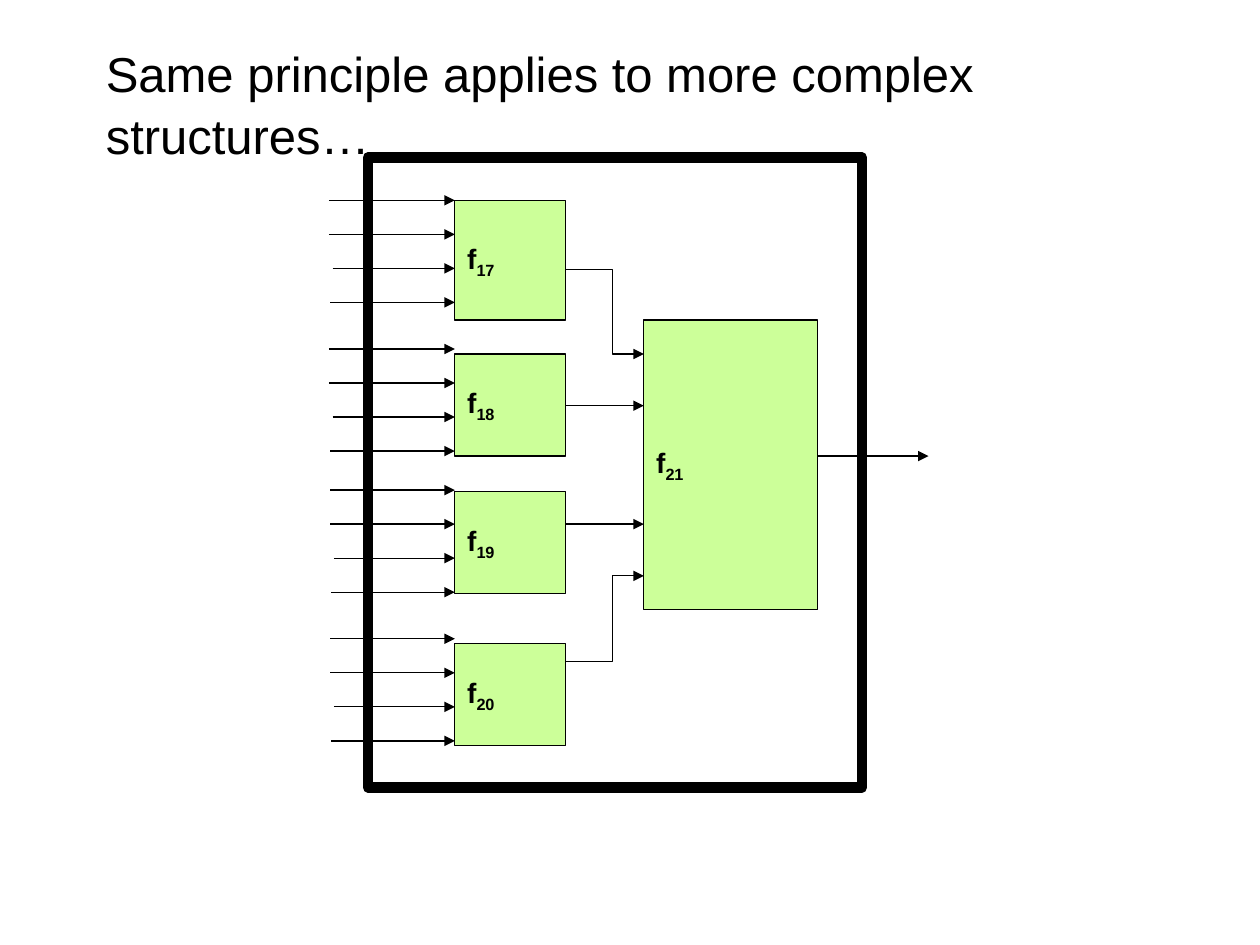
"""Build a slide showing four function blocks feeding a fifth inside one frame."""
import pptx
import pptx.dml.color
import pptx.enum.shapes
import pptx.enum.text
import pptx.oxml.xmlchemy
import pptx.util

Inches = pptx.util.Inches
Color = pptx.dml.color.RGBColor.from_string
Node = pptx.oxml.xmlchemy.OxmlElement
Text = pptx.enum.text
RECT = pptx.enum.shapes.MSO_SHAPE.RECTANGLE

TITLE = "Same principle applies to more complex structures…"
FRAME = (2.92, 1.25, 3.92, 5)
BLOCKS = [
    ("17", (3.61, 1.59, 0.88, 0.95)),
    ("18", (3.61, 2.81, 0.88, 0.81)),
    ("19", (3.61, 3.9, 0.88, 0.81)),
    ("20", (3.61, 5.11, 0.88, 0.81)),
    ("21", (5.11, 2.54, 1.38, 2.3)),
]
GROUPS = [(1.59, 0), (2.77, 0), (3.89, 0.01), (5.07, 0.01)]
STARTS = [2.61, 2.61, 2.64, 2.62]
STEP = 0.27
PORT = 3.61
LINKS = [
    [(4.49, 3.22), (5.11, 3.22)],
    [(4.49, 4.16), (5.11, 4.16)],
    [(6.49, 3.62), (7.37, 3.62)],
]
ELBOWS = [
    [(4.49, 2.14), (4.86, 2.14), (4.86, 2.81), (5.11, 2.81)],
    [(4.49, 5.25), (4.86, 5.25), (4.86, 4.57), (5.11, 4.57)],
]
THEME = {
    "ink": "000000", "fill": "CCFF99", "font": "Arial",
    "title": 28, "label": 16, "thin": 0.75, "thick": 6,
}


def apply(item, form):
    for name, value in form.items():
        setattr(item, name, value)


def style(font, size, bold):
    apply(font, {"name": THEME["font"], "size": pptx.util.Pt(size), "bold": bold})
    font.color.rgb = Color(THEME["ink"])


def stroke(line, width):
    line.color.rgb = Color(THEME["ink"])
    line.width = pptx.util.Pt(width)


def point(item):
    stroke(item.line, THEME["thin"])
    tail = Node("a:tailEnd")
    tail.set("type", "triangle")
    item.line._get_or_add_ln().append(tail)


def box(shapes, at, width):
    shape = shapes.add_shape(RECT, *map(Inches, at))
    shape.shadow.inherit = False
    stroke(shape.line, width)
    return shape


def block(shapes, index, at):
    shape = box(shapes, at, THEME["thin"])
    shape.fill.solid()
    shape.fill.fore_color.rgb = Color(THEME["fill"])
    apply(shape.text_frame, {
        "word_wrap": True, "vertical_anchor": Text.MSO_ANCHOR.MIDDLE,
    })
    para = shape.text_frame.paragraphs[0]
    para.alignment = Text.PP_ALIGN.LEFT
    for word, base in (("f", None), (index, "-25000")):
        run = para.add_run()
        run.text = word
        style(run.font, THEME["label"], True)
        if base:
            run._r.get_or_add_rPr().set("baseline", base)


def arrow(shapes, start, end):
    kind = pptx.enum.shapes.MSO_CONNECTOR.STRAIGHT
    line = shapes.add_connector(kind, *map(Inches, start + end))
    point(line)
    line._element.spPr.append(Node("a:effectLst"))


def elbow(shapes, points):
    spots = [tuple(map(Inches, spot)) for spot in points]
    path = shapes.build_freeform(*spots[0])
    path.add_line_segments(spots[1:], close=False)
    shape = path.convert_to_shape()
    shape.shadow.inherit = False
    shape.fill.background()
    point(shape)


def head(shape):
    sides = zip(("left", "top", "width", "height"), (0.74, 0.27, 8.46, 0.57))
    apply(shape, {side: Inches(size) for side, size in sides})
    shape.text_frame.text = TITLE
    apply(shape.text_frame, {
        "word_wrap": True, "vertical_anchor": Text.MSO_ANCHOR.TOP,
        "auto_size": Text.MSO_AUTO_SIZE.SHAPE_TO_FIT_TEXT,
    })
    para = shape.text_frame.paragraphs[0]
    apply(para, {"alignment": Text.PP_ALIGN.LEFT, "line_spacing": 1.05})
    style(para.runs[0].font, THEME["title"], False)


def main():
    deck = pptx.Presentation()
    apply(deck, {"slide_width": Inches(10), "slide_height": Inches(7.5)})
    shapes = deck.slides.add_slide(deck.slide_layouts[5]).shapes
    head(shapes.title)
    box(shapes, FRAME, THEME["thick"]).fill.background()
    for index, at in BLOCKS:
        block(shapes, index, at)
    for points in ELBOWS:
        elbow(shapes, points)
    for start, end in LINKS:
        arrow(shapes, start, end)
    for top, shift in GROUPS:
        for row, left in enumerate(STARTS):
            y = top + row * STEP
            arrow(shapes, (left + shift, y), (PORT, y))
    deck.save("out.pptx")


if __name__ == "__main__":
    main()
